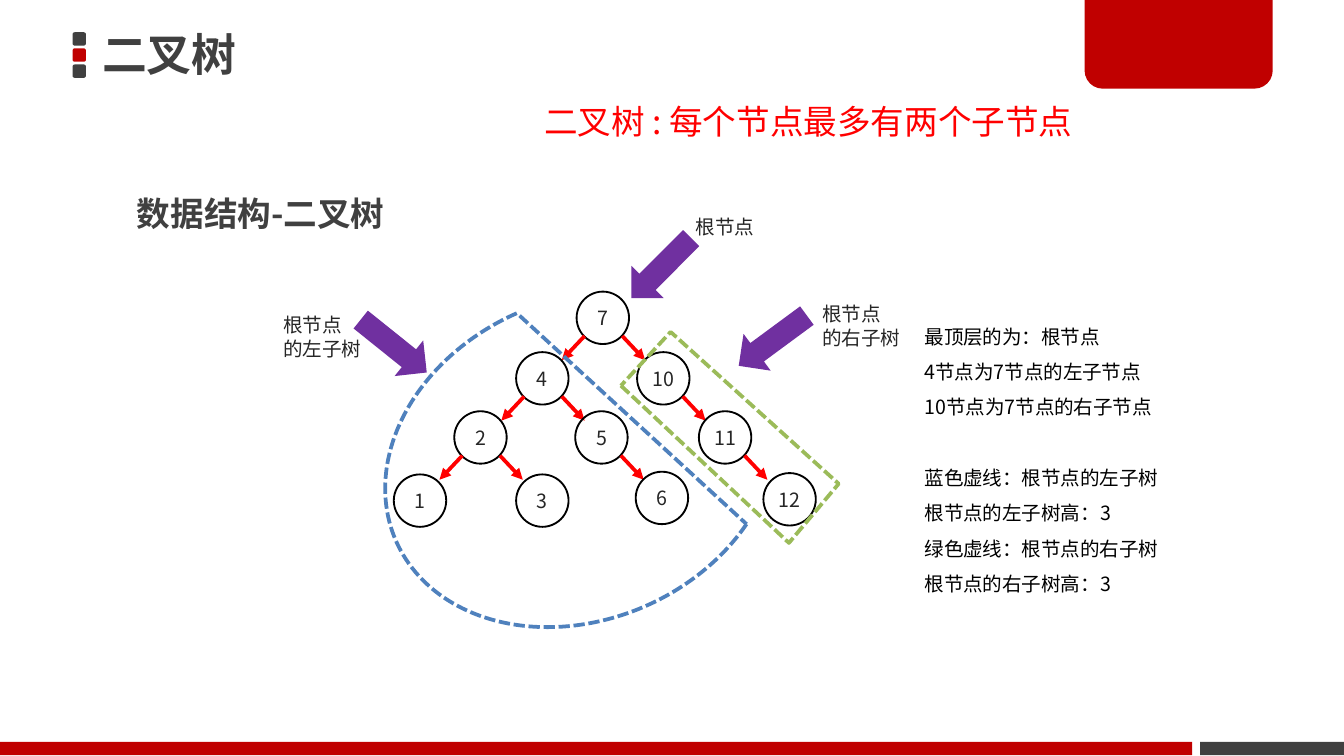
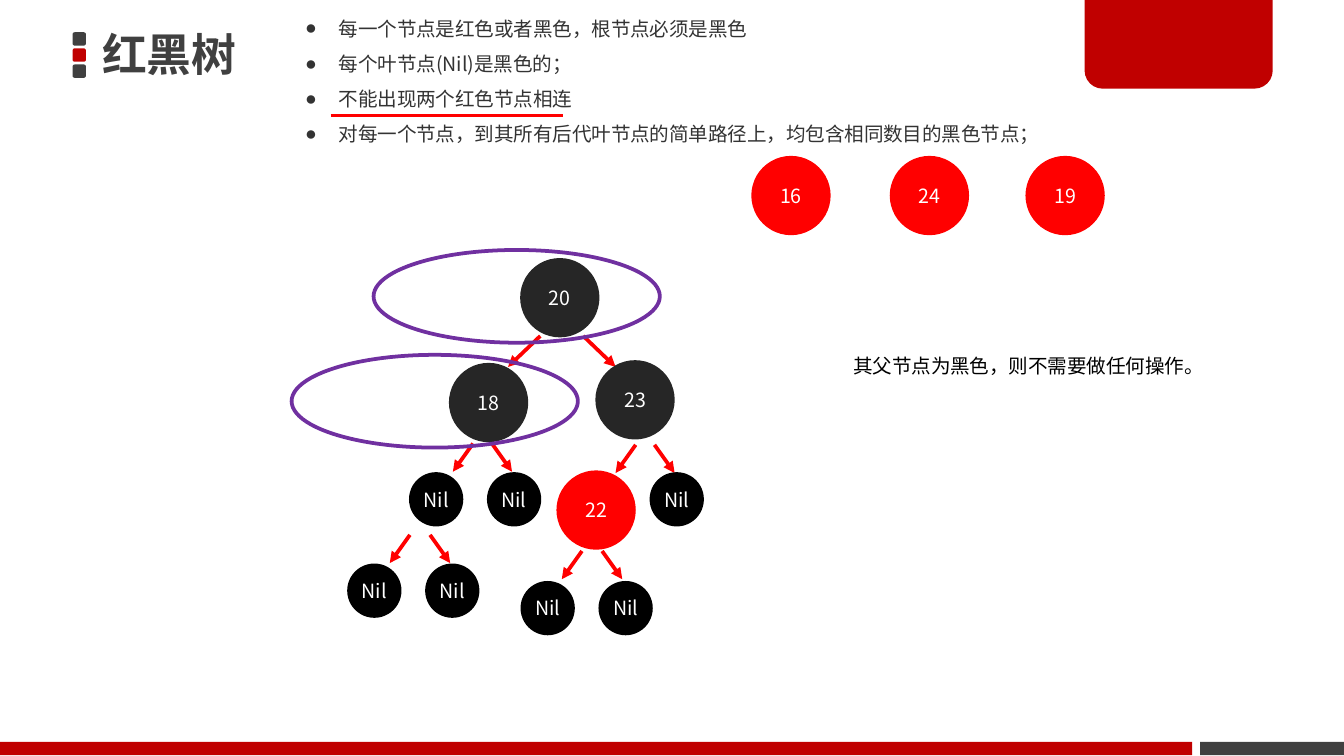
import dataclasses

import lxml.etree
import pptx
import pptx.dml.color
import pptx.enum.dml
import pptx.enum.shapes
import pptx.enum.text
import pptx.oxml.ns
import pptx.util

Inches = pptx.util.Inches
Pt = pptx.util.Pt
qn = pptx.oxml.ns.qn
SHAPE = pptx.enum.shapes.MSO_SHAPE
ALIGN = pptx.enum.text.PP_ALIGN
ANCHOR = pptx.enum.text.MSO_ANCHOR
FIT = pptx.enum.text.MSO_AUTO_SIZE
DASH = pptx.enum.dml.MSO_LINE.SQUARE_DOT


@dataclasses.dataclass(frozen=True)
class Theme:
    """Colours, fonts and sizes shared by the deck."""

    brand: str = "C00000"
    gray: str = "404040"
    ink: str = "262626"
    bullet: str = "333333"
    black: str = "000000"
    white: str = "FFFFFF"
    red: str = "FF0000"
    purple: str = "7030A0"
    blue: str = "4F81BD"
    green: str = "9BBB59"
    font: str = "Noto Sans CJK SC"
    title_font: str = "Noto Sans CJK JP"
    title: float = 24
    heading: float = 18
    text: float = 10.5
    thin: float = 1
    thick: float = 2
    small_node: float = 0.39
    big_node: float = 0.59


THEME = Theme()
TITLE_BOX = (0.69, 0.19, 7.19, 0.42)


def rgb(value):
    """Turn a hex string into a colour."""
    return pptx.dml.color.RGBColor.from_string(value)


def place(shape, box):
    """Move a shape to a box given in inches."""
    shape.left, shape.top, shape.width, shape.height = map(Inches, box)


def write(shape, text, *, size=THEME.text, color=THEME.ink, font=THEME.font, bold=False,
          align=ALIGN.LEFT, anchor=ANCHOR.TOP, wrap=True, fit=FIT.NONE, spacing=1.0,
          inset=(0.1, 0.05), bullet=None, gaps=None):
    """Fill a shape with one formatted paragraph per line of text."""
    frame = shape.text_frame
    frame.text = text
    frame.word_wrap, frame.auto_size, frame.vertical_anchor = wrap, fit, anchor
    frame.margin_left = frame.margin_right = Inches(inset[0])
    frame.margin_top = frame.margin_bottom = Inches(inset[1])
    hang = Inches(0.25) if bullet else 0
    for element in shape.element.iter(qn("a:p")):
        props = element.get_or_add_pPr()
        props.set("marL", str(hang))
        props.set("indent", str(-hang))
        mark = lxml.etree.SubElement(props, qn("a:buChar" if bullet else "a:buNone"))
        if bullet:
            mark.set("char", bullet)
    for index, para in enumerate(frame.paragraphs):
        para.alignment, para.line_spacing = align, spacing
        para.space_before = Pt((gaps or {}).get(index, 0))
        for span in para.runs:
            span.font.size, span.font.bold, span.font.name = Pt(size), bold, font
            span.font.color.rgb = rgb(color)
    for props in shape.element.iter(qn("a:rPr")):
        lxml.etree.SubElement(props, qn("a:ea")).set("typeface", font)


def paint(shape, fill=None, line=None, width=THEME.thin, dash=None):
    """Set fill and outline, and drop the shadow."""
    shape.shadow.inherit = False
    if fill:
        shape.fill.solid()
        shape.fill.fore_color.rgb = rgb(fill)
    else:
        shape.fill.background()
    if line:
        shape.line.color.rgb = rgb(line)
        shape.line.width = Pt(width)
        shape.line.dash_style = dash
    else:
        shape.line.fill.background()


def add_shape(page, kind, box, rotation=0, **style):
    """Add a painted preset shape."""
    shape = page.shapes.add_shape(kind, *map(Inches, box))
    shape.rotation = rotation
    paint(shape, **style)
    return shape


def add_text(page, box, text, **style):
    """Add a text box that grows with its text."""
    write(page.shapes.add_textbox(*map(Inches, box)), text,
          fit=FIT.SHAPE_TO_FIT_TEXT, **style)


def add_line(page, start, end, arrow=True):
    """Add a red line, with an arrowhead at its end if asked."""
    line = page.shapes.add_connector(pptx.enum.shapes.MSO_CONNECTOR.STRAIGHT,
                                     *map(Inches, (*start, *end)))
    line.line.color.rgb = rgb(THEME.red)
    line.line.width = Pt(THEME.thick)
    props = line.element.spPr
    if arrow:
        head = lxml.etree.SubElement(props.find(qn("a:ln")), qn("a:tailEnd"))
        head.set("type", "triangle")
    lxml.etree.SubElement(props, qn("a:effectLst"))


def add_node(page, x, y, label, size, color, **style):
    """Add a round tree node with a centred label."""
    node = add_shape(page, SHAPE.OVAL, (x, y, size, size), **style)
    write(node, label, color=color, align=ALIGN.CENTER, anchor=ANCHOR.MIDDLE,
          wrap=False, inset=(0, 0))


def add_fork(page, x, y, gap, run, drop, sides="LR"):
    """Add the arrows to the left and right child of a node."""
    if "L" in sides:
        add_line(page, (x, y), (x - run, y + drop))
    if "R" in sides:
        add_line(page, (x + gap, y), (x + gap + run, y + drop))


def build_master(deck, page):
    """Put the marker squares, corner tab and footer bands on the master."""
    parts = []
    for row, color in enumerate((THEME.gray, THEME.brand, THEME.gray)):
        parts.append(add_shape(page, SHAPE.ROUNDED_RECTANGLE,
                               (0.54, 0.24 + 0.12 * row, 0.1, 0.1), fill=color))
    tab = add_shape(page, SHAPE.ROUND_2_SAME_RECTANGLE, (8.07, -0.02, 1.4, 0.68),
                    fill=THEME.brand)
    tab.adjustments[0], tab.adjustments[1] = 0, 0.2
    parts.append(tab)
    for left, width, color in ((8.93, 1.07, THEME.gray), (0, 8.87, THEME.brand)):
        parts.append(add_shape(page, SHAPE.RECTANGLE, (left, 5.52, width, 0.1), fill=color))
    for number, part in enumerate(parts, 101):
        part.element.nvSpPr.cNvPr.set("id", str(number))
        deck.slide_master.shapes.element.append(part.element)


def add_page(deck, title, body, body_box, **style):
    """Add a page with its title and body placeholders filled."""
    page = deck.slides.add_slide(deck.slide_layouts[1])
    place(page.shapes.title, TITLE_BOX)
    write(page.shapes.title, title, size=THEME.title, color=THEME.gray, bold=True,
          font=THEME.title_font, anchor=ANCHOR.MIDDLE, inset=(0.07, 0.04))
    place(page.placeholders[1], body_box)
    write(page.placeholders[1], body, spacing=1.5, **style)
    return page


def draw_binary_tree(page, left, top):
    """Draw the numbered tree from its top left corner."""
    nodes = (("7", 1.36, 0, "LR"), ("4", 0.91, 0.45, "LR"), ("10", 1.81, 0.45, "R"),
             ("2", 0.45, 0.89, "LR"), ("5", 1.35, 0.89, "R"), ("11", 2.27, 0.89, "R"),
             ("12", 2.75, 1.35, ""), ("1", 0, 1.36, ""), ("3", 0.91, 1.36, ""),
             ("6", 1.8, 1.34, ""))
    for label, x, y, sides in nodes:
        add_node(page, left + x, top + y, label, THEME.small_node, THEME.ink,
                 line=THEME.black)
        add_fork(page, left + x + 0.06, top + y + 0.33, 0.28, 0.17, 0.18, sides)


def draw_subtrees(page, left, top):
    """Outline both subtrees and point them out, from the tree's corner."""
    dashed = {"width": THEME.thick, "dash": DASH}
    add_shape(page, SHAPE.CHORD, (left - 0.11, top + 0.06, 3.01, 2.38), 336.3,
              line=THEME.blue, **dashed)
    corners = [(Inches(left + x), Inches(top + y))
               for x, y in ((1.69, 0.7), (2.94, 1.87), (3.31, 1.43), (2.06, 0.3))]
    builder = page.shapes.build_freeform(*corners[0])
    builder.add_line_segments(corners[1:], close=True)
    paint(builder.convert_to_shape(), line=THEME.green, **dashed)
    callouts = (("根节点", 1.82, -0.49, 44.9, (2.15, -0.62, 0.64, 0.28)),
                ("根节点\n的左子树", -0.17, 0.09, 308.7, (-0.92, 0.11, 0.79, 0.45)),
                ("根节点\n的右子树", 2.65, 0.05, 53.6, (3.09, 0.03, 0.79, 0.45)))
    for text, x, y, angle, (dx, dy, width, height) in callouts:
        add_shape(page, SHAPE.DOWN_ARROW, (left + x, top + y, 0.34, 0.63), angle,
                  fill=THEME.purple)
        add_text(page, (left + dx, top + dy, width, height), text, wrap=False)


def draw_red_black_tree(page, left, top):
    """Draw the coloured tree with its leaves and rings from its corner."""
    forks = ((1.85, 0.64, 0.32, 0.24, 0.23), (1.35, 1.44, 0.14, 0.15, 0.21),
             (2.56, 1.45, 0.14, 0.15, 0.21), (2.16, 2.24, 0.15, 0.15, 0.21),
             (0.88, 2.12, 0.15, 0.15, 0.21))
    for x, y, gap, run, drop in forks:
        add_fork(page, left + x, top + y, gap, run, drop)
    for x, y in ((2.67, 1.66), (0.88, 1.66), (1.46, 1.66), (1.71, 2.47), (2.29, 2.47),
                 (0.42, 2.34), (1, 2.34)):
        add_node(page, left + x, top + y, "Nil", THEME.small_node, THEME.white,
                 fill=THEME.black, line=THEME.black)
    for label, x, y, color in (("20", 1.7, 0.06, THEME.ink), ("23", 2.26, 0.82, THEME.ink),
                               ("18", 1.17, 0.84, THEME.ink), ("22", 1.97, 1.64, THEME.red)):
        add_node(page, left + x, top + y, label, THEME.big_node, THEME.white, fill=color)
    for x, y in ((0.61, 0), (0, 0.78)):
        add_shape(page, SHAPE.OVAL, (left + x, top + y, 2.13, 0.69),
                  line=THEME.purple, width=THEME.thick)


def draw_waiting_nodes(page, left, top):
    """Draw the row of red nodes still to be inserted."""
    for label, x in (("16", 0), ("24", 1.03), ("19", 2.04)):
        add_node(page, left + x, top, label, THEME.big_node, THEME.white, fill=THEME.red)


def build_binary_page(deck):
    """Build the page on binary trees."""
    notes = "\n".join(("最顶层的为：根节点", "4节点为7节点的左子节点", "10节点为7节点的右子节点",
                       "蓝色虚线：根节点的左子树", "根节点的左子树高：3",
                       "绿色虚线：根节点的右子树", "根节点的右子树高：3"))
    page = add_page(deck, "二叉树", notes, (6.78, 2.28, 2.73, 2.49),
                    color=THEME.black, gaps={3: 19})
    build_master(deck, page)
    draw_binary_tree(page, 2.93, 2.17)
    draw_subtrees(page, 2.93, 2.17)
    add_text(page, (0.92, 1.24, 6.28, 0.56), "数据结构-二叉树", size=THEME.heading,
             color=THEME.gray, bold=True, spacing=1.5)
    add_text(page, (3.95, 0.7, 6.01, 0.4), "二叉树 : 每个节点最多有两个子节点",
             size=THEME.heading, color=THEME.red)


def build_red_black_page(deck):
    """Build the page on red-black trees."""
    rules = "\n".join(("每一个节点是红色或者黑色，根节点必须是黑色", "每个叶节点(Nil)是黑色的；",
                       "不能出现两个红色节点相连",
                       "对每一个节点，到其所有后代叶节点的简单路径上，均包含相同数目的黑色节点；"))
    page = add_page(deck, "红黑树", rules, (2.17, -0.02, 6.93, 1.16), color=THEME.bullet,
                    bullet="●", anchor=ANCHOR.MIDDLE)
    add_line(page, (2.46, 0.86), (4.19, 0.86), arrow=False)
    draw_waiting_nodes(page, 5.59, 1.16)
    draw_red_black_tree(page, 2.17, 1.86)
    add_text(page, (6.25, 2.5, 2.85, 0.33), "其父节点为黑色，则不需要做任何操作。",
             color=THEME.black, wrap=False, spacing=1.5)


def main():
    """Build and save the deck."""
    deck = pptx.Presentation()
    deck.slide_width = Inches(10)
    deck.slide_height = deck.slide_width * 9 // 16
    build_binary_page(deck)
    build_red_black_page(deck)
    deck.save("out.pptx")


if __name__ == "__main__":
    main()
